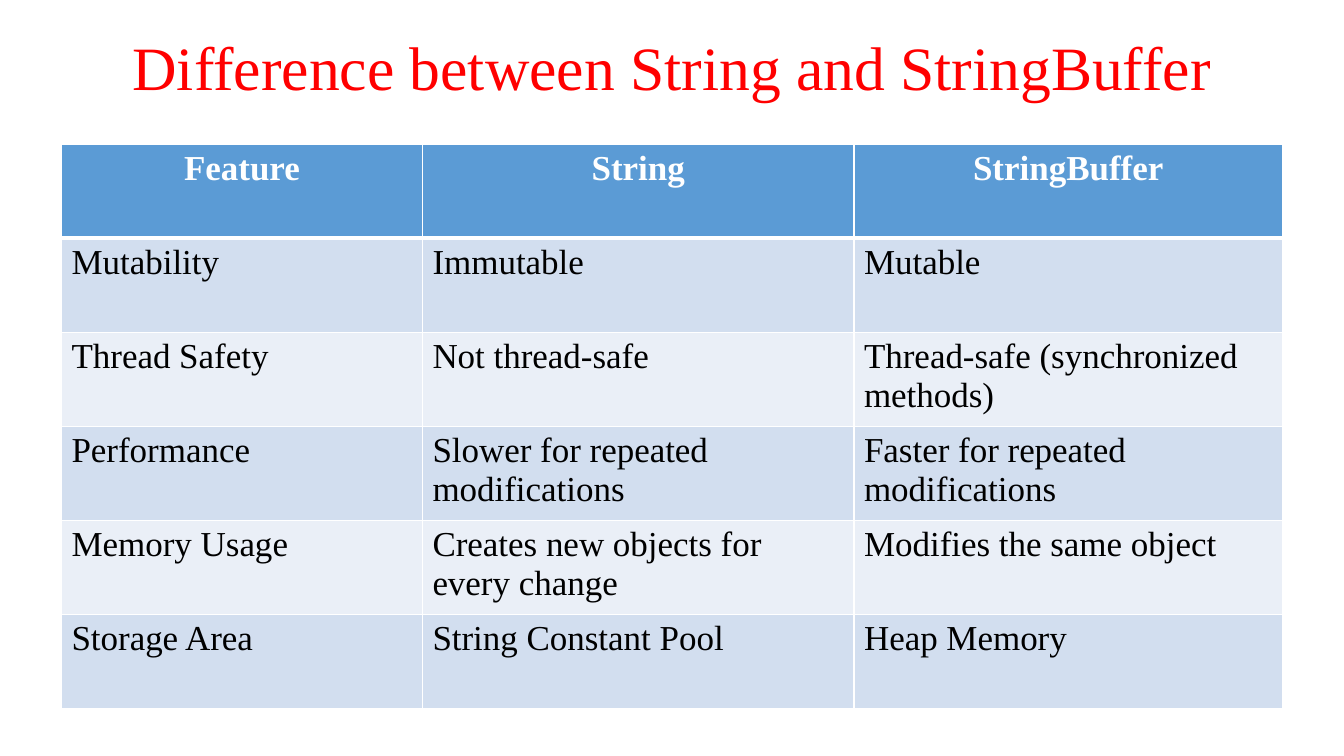
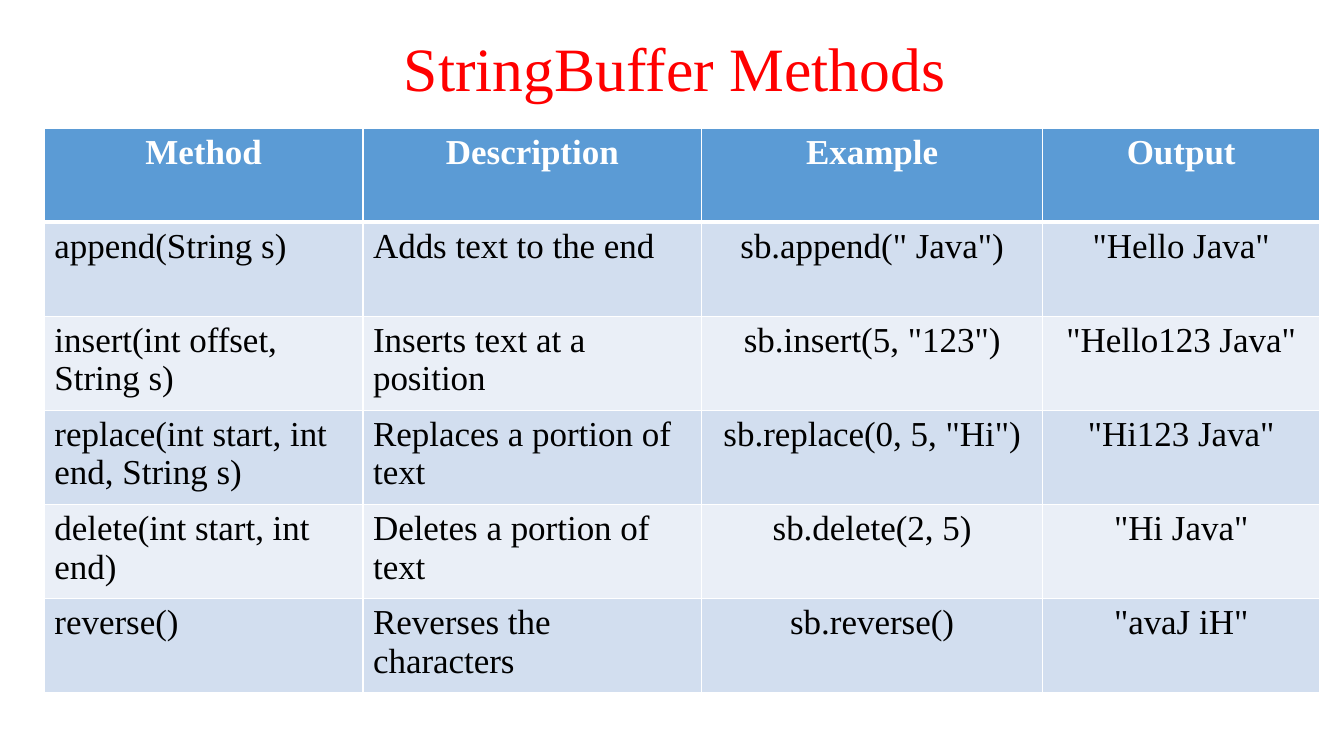
from lxml import etree
from pptx import Presentation
from pptx import util as u
from pptx.dml.color import RGBColor
from pptx.enum import text as t
from pptx.oxml import ns

RED = RGBColor(0xFF, 0x00, 0x00)
WHITE = RGBColor(0xFF, 0xFF, 0xFF)
BLACK = RGBColor(0x00, 0x00, 0x00)
BLUE = RGBColor(0x5B, 0x9B, 0xD5)
PALE = RGBColor(0xD2, 0xDE, 0xEF)
LIGHT = RGBColor(0xEA, 0xEF, 0xF7)
FONT = "Times New Roman"
LEFT = t.PP_ALIGN.LEFT
MID = t.PP_ALIGN.CENTER


def write(frame, words, size=25, color=BLACK, bold=False, align=LEFT, space=None):
    para = frame.paragraphs[0]
    para.alignment = align
    para.line_spacing = space
    run = para.add_run()
    run.text = words
    font = run.font
    font.name, font.size, font.bold = FONT, u.Pt(size), bold
    font.color.rgb = color


def edge(cell, side, width):
    props = cell._tc.get_or_add_tcPr()
    line = etree.SubElement(props, ns.qn(f"a:ln{side}"), w=str(u.Pt(width)))
    fill = etree.SubElement(line, ns.qn("a:solidFill"))
    etree.SubElement(fill, ns.qn("a:srgbClr"), val=str(WHITE))


def head(slide, words, left, top):
    title = slide.shapes.title
    title.left, title.top = u.Inches(left), u.Inches(top)
    title.width, title.height = u.Inches(11.5), u.Inches(1.12)
    frame = title.text_frame
    frame.word_wrap = True
    frame.auto_size = t.MSO_AUTO_SIZE.NONE
    frame.vertical_anchor = t.MSO_ANCHOR.MIDDLE
    write(frame, words, size=44, color=RED, align=MID, space=0.9)


def grid(slide, rows, left, top, widths, aligns):
    shape = slide.shapes.add_table(
        len(rows), len(widths), u.Inches(left), u.Inches(top),
        u.Inches(sum(widths)), u.Inches(5.6))
    table = shape.table
    for col, width in zip(table.columns, widths):
        col.width = u.Inches(width)
    for r, row in enumerate(rows):
        first = r == 0
        tone = BLUE if first else PALE if r % 2 else LIGHT
        for c, words in enumerate(row):
            cell = table.cell(r, c)
            edges = {"L": 1, "R": 1, "T": 3 if r == 1 else 1, "B": 3 if first else 1}
            for side, width in edges.items():
                edge(cell, side, width)
            cell.fill.solid()
            cell.fill.fore_color.rgb = tone
            write(cell.text_frame, words, color=WHITE if first else BLACK,
                  bold=first, align=MID if first else aligns[c])


def page(deck, title, spot, rows, box, widths, aligns):
    slide = deck.slides.add_slide(deck.slide_layouts[5])
    head(slide, title, *spot)
    grid(slide, rows, *box, widths, aligns)


TYPES = [
    ("Feature", "String", "StringBuffer"),
    ("Mutability", "Immutable", "Mutable"),
    ("Thread Safety", "Not thread-safe", "Thread-safe (synchronized methods)"),
    ("Performance", "Slower for repeated modifications",
     "Faster for repeated modifications"),
    ("Memory Usage", "Creates new objects for every change",
     "Modifies the same object"),
    ("Storage Area", "String Constant Pool", "Heap Memory"),
]
CALLS = [
    ("Method", "Description", "Example", "Output"),
    ("append(String s)", "Adds text to the end",
     'sb.append(" Java")', '"Hello Java"'),
    ("insert(int offset, String s)", "Inserts text at a position",
     'sb.insert(5, "123")', '"Hello123 Java"'),
    ("replace(int start, int end, String s)", "Replaces a portion of text",
     'sb.replace(0, 5, "Hi")', '"Hi123 Java"'),
    ("delete(int start, int end)", "Deletes a portion of text",
     "sb.delete(2, 5)", '"Hi Java"'),
    ("reverse()", "Reverses the characters", "sb.reverse()", '"avaJ iH"'),
]


def main():
    deck = Presentation()
    deck.slide_width, deck.slide_height = u.Inches(13.33), u.Inches(7.5)
    page(deck, "Difference between String and StringBuffer", (0.92, 0.14),
         TYPES, (0.61, 1.43), (3.58, 4.28, 4.25), (LEFT, LEFT, LEFT))
    page(deck, "StringBuffer Methods ", (1.02, 0.15),
         CALLS, (0.44, 1.27), (3.16, 3.36, 3.38, 2.75), (LEFT, LEFT, MID, MID))
    deck.save("out.pptx")


if __name__ == "__main__":
    main()
